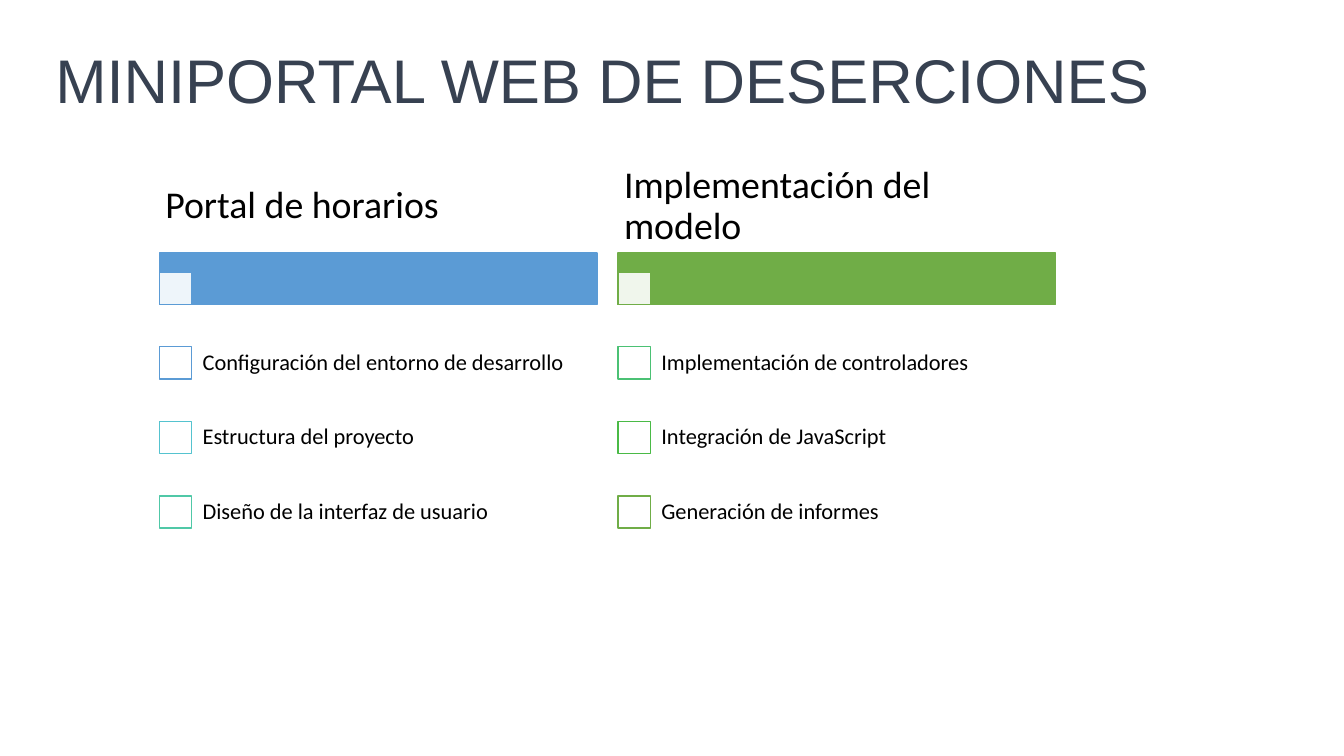
import pptx
import pptx.util
import pptx.dml.color
import pptx.enum.shapes
import pptx.enum.text
import lxml.etree

Inches = pptx.util.Inches
Pt = pptx.util.Pt
BOX_SIZE = 0.32
COLUMN_WIDTH = 4.34
ROW_HEIGHT = 0.74

COLUMNS = [
    (1.58, "Portal de horarios", "5B9BD5", [
        ("Configuración del entorno de desarrollo", "5B9BD5"),
        ("Estructura del proyecto", "55C3CF"),
        ("Diseño de la interfaz de usuario", "50C8A7"),
    ]),
    (6.13, "Implementación del modelo", "70AD47", [
        ("Implementación de controladores", "4BC174"),
        ("Integración de JavaScript", "4ABA46"),
        ("Generación de informes", "70AD47"),
    ]),
]


def color(value):
    """Turn a hex string into a colour."""
    return pptx.dml.color.RGBColor.from_string(value)


def add_rectangle(page, left, top, width, height, fill, line, opacity=100):
    """Draw an outlined rectangle, optionally translucent."""
    shape = page.shapes.add_shape(
        pptx.enum.shapes.MSO_SHAPE.RECTANGLE,
        Inches(left), Inches(top), Inches(width), Inches(height))
    shape.shadow.inherit = False
    shape.fill.solid()
    shape.fill.fore_color.rgb = color(fill)
    shape.line.color.rgb = color(line)
    shape.line.width = Pt(1)
    if opacity < 100:
        fill_color = shape.element.spPr.find(pptx.oxml.ns.qn("a:solidFill"))[0]
        alpha = lxml.etree.SubElement(fill_color, pptx.oxml.ns.qn("a:alpha"))
        alpha.set("val", str(opacity * 1000))


def add_text(page, left, top, width, height, text, size, font="Calibri",
             ink="000000", insets=(0.1, 0.05), anchor="MIDDLE"):
    """Place one paragraph of text in a wrapping box."""
    box = page.shapes.add_textbox(
        Inches(left), Inches(top), Inches(width), Inches(height))
    frame = box.text_frame
    frame.word_wrap = True
    frame.vertical_anchor = getattr(pptx.enum.text.MSO_ANCHOR, anchor)
    frame.margin_left = frame.margin_right = Inches(insets[0])
    frame.margin_top = frame.margin_bottom = Inches(insets[1])
    para = frame.paragraphs[0]
    para.text = text
    para.line_spacing = 0.9
    para.font.size = Pt(size)
    para.font.name = font
    para.font.color.rgb = color(ink)


def add_column(page, left, top, heading, accent, items):
    """Draw a heading, its bar and the checklist below it."""
    add_rectangle(page, left, top + 0.92, COLUMN_WIDTH, 0.51, accent, accent)
    add_rectangle(page, left, top + 1.11, BOX_SIZE, BOX_SIZE, "FFFFFF", accent, 90)
    add_text(page, left, top, COLUMN_WIDTH, 0.92, heading, 27, insets=(0.06, 0.04))
    for index, (label, outline) in enumerate(items):
        row_top = top + 1.64 + index * ROW_HEIGHT
        add_rectangle(page, left, row_top + (ROW_HEIGHT - BOX_SIZE) / 2,
                      BOX_SIZE, BOX_SIZE, "FFFFFF", outline)
        add_text(page, left + 0.31, row_top, COLUMN_WIDTH - 0.31, ROW_HEIGHT,
                 label, 16, insets=(0.12, 0.12))


def main():
    """Build and save the deck."""
    deck = pptx.Presentation()
    deck.slide_width, deck.slide_height = Inches(13.33), Inches(7.5)
    page = deck.slides.add_slide(deck.slide_layouts[6])
    add_text(page, 0.45, 0.45, 11.5, 0.74, "MINIPORTAL WEB DE DESERCIONES", 44,
             font="Arial", ink="374151", anchor="TOP")
    for left, heading, accent, items in COLUMNS:
        add_column(page, left, 1.59, heading, accent, items)
    deck.save("out.pptx")


if __name__ == "__main__":
    main()
